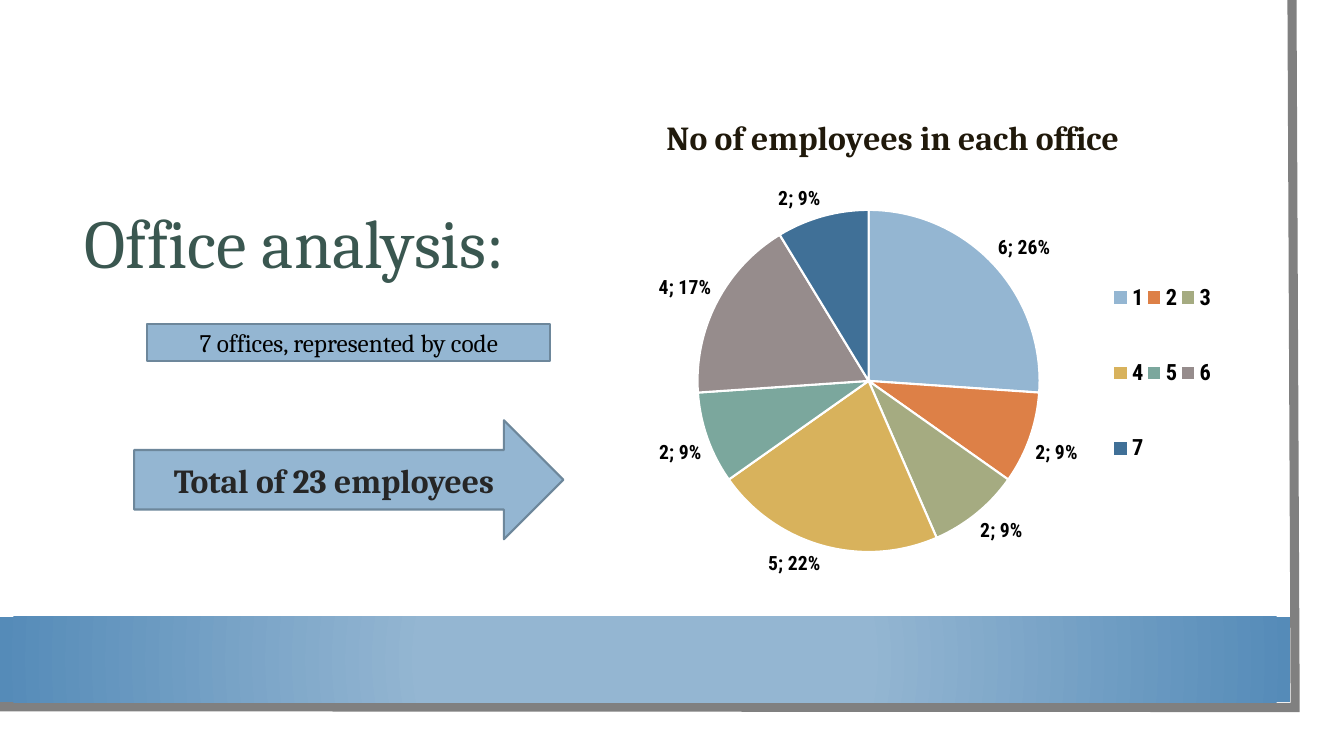
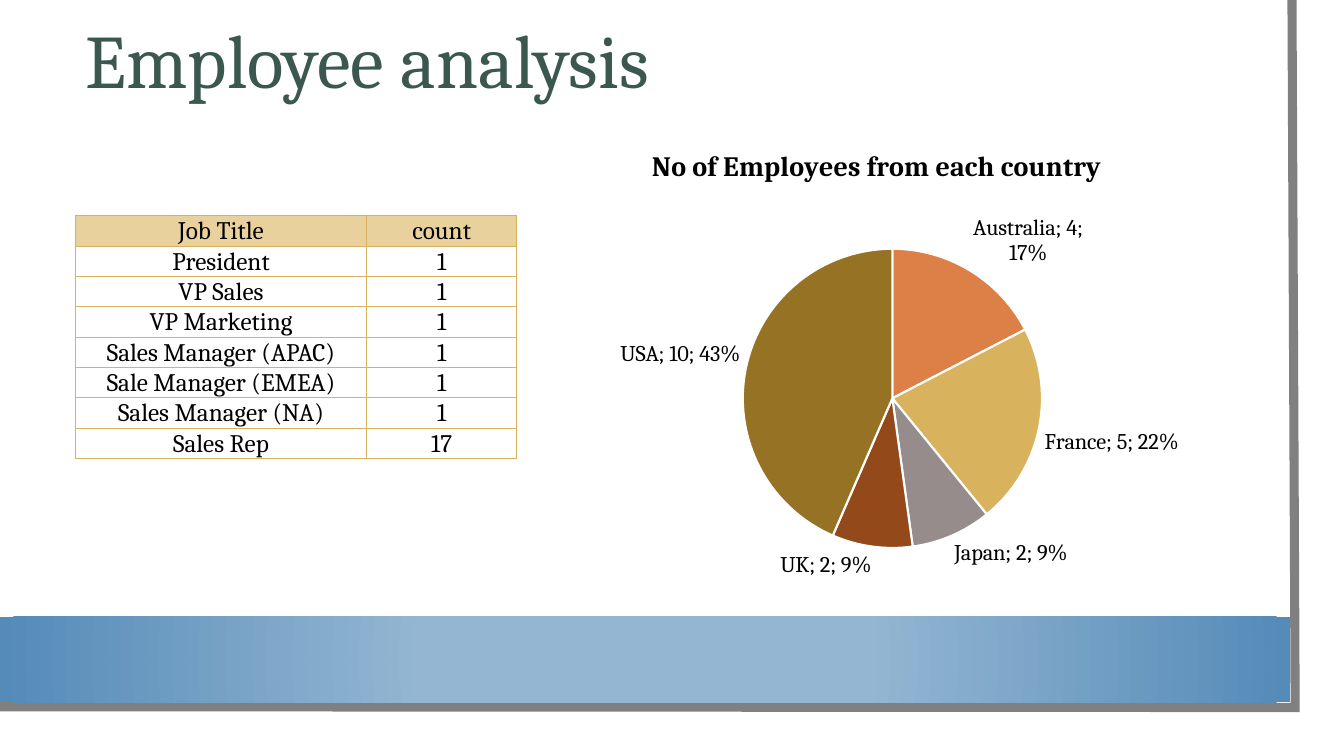
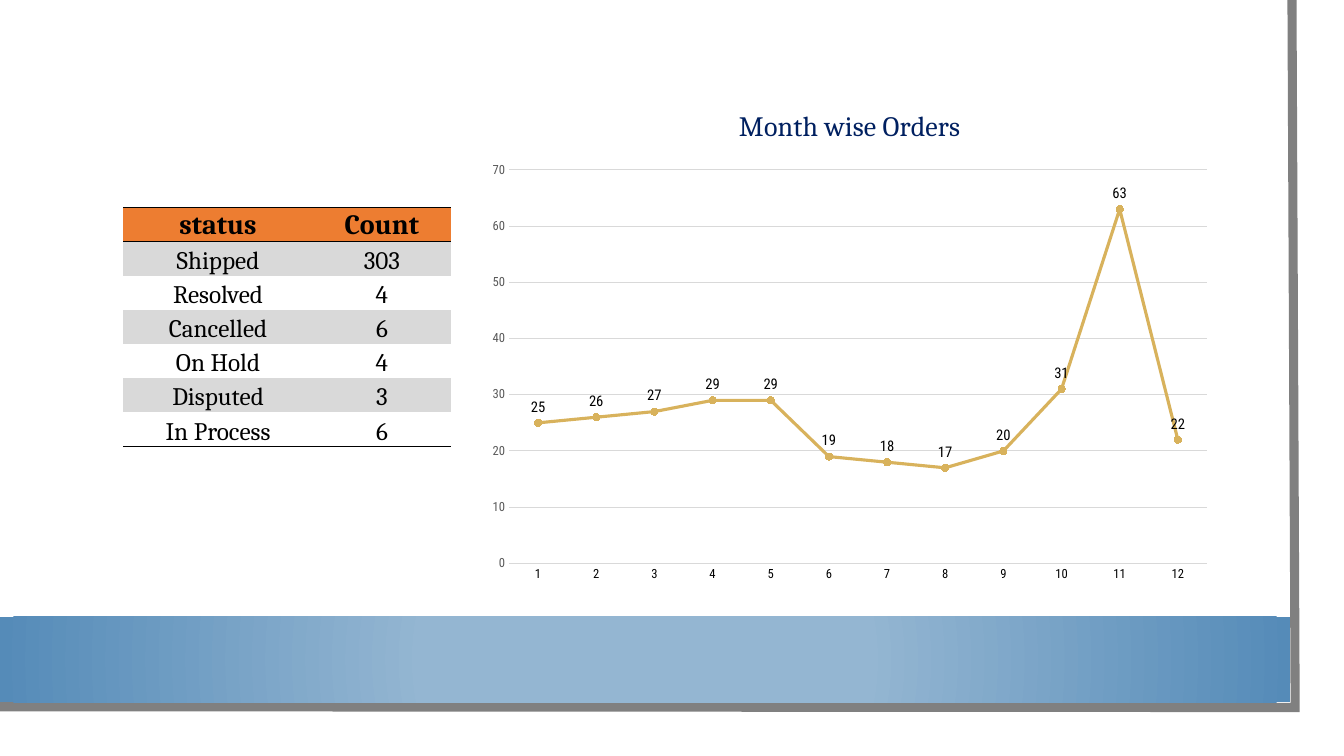
import pptx
import pptx.chart.data
import pptx.dml.color
import pptx.enum.chart
import pptx.enum.dml
import pptx.enum.shapes
import pptx.enum.text
import pptx.oxml
import pptx.oxml.ns
import pptx.util

Cm, Pt = pptx.util.Cm, pptx.util.Pt
RGB = pptx.dml.color.RGBColor
KIND = pptx.enum.chart.XL_CHART_TYPE
SPOT = pptx.enum.chart.XL_LABEL_POSITION
SHAPE = pptx.enum.shapes.MSO_SHAPE
ANCHOR = pptx.enum.text.MSO_ANCHOR
ALIGN = pptx.enum.text.PP_ALIGN

SERIF, SANS = "Cambria", "Roboto Condensed"
WHITE, BLACK = RGB(255, 255, 255), RGB(0, 0, 0)
GREEN = RGB(0x3A, 0x57, 0x50)
BLUE, DEEP, SLATE = RGB(0x94, 0xB6, 0xD2), RGB(0x55, 0x8B, 0xB8), RGB(0x6D, 0x87, 0x9B)
NAVY, STEEL = RGB(0x00, 0x20, 0x60), RGB(0x40, 0x70, 0x97)
ORANGE, BRIGHT, RUST = RGB(0xDD, 0x80, 0x47), RGB(0xED, 0x7D, 0x31), RGB(0x94, 0x49, 0x1B)
GOLD, SAND, BRONZE = RGB(0xD8, 0xB2, 0x5C), RGB(0xE8, 0xD1, 0x9D), RGB(0x95, 0x72, 0x24)
OLIVE, TEAL, TAUPE = RGB(0xA5, 0xAB, 0x81), RGB(0x7B, 0xA7, 0x9D), RGB(0x96, 0x8C, 0x8C)
GREY, SILVER, SMOKE = RGB(0x80, 0x80, 0x80), RGB(0xD9, 0xD9, 0xD9), RGB(0x59, 0x59, 0x59)
INK, UMBER = RGB(0x26, 0x26, 0x26), RGB(0x20, 0x19, 0x0B)

# Boxes are left, top, width, height in centimetres.
CARD = (0, 0, 33.27, 18.47)
BAND = (0, 15.54, 32.51, 2.16)
EDGE = [(32.56, 0), (32.64, 17.83), (-0.08, 17.81)]

OFFICE = {
    "title": dict(text="Office analysis:", box=(1.88, 4.5, 11.89, 6.83), size=49,
                  space=1.2, anchor=ANCHOR.TOP),
    "shapes": [
        dict(kind=SHAPE.RIGHT_ARROW, box=(3.38, 10.59, 10.82, 3),
             text="Total of 23 employees", size=24, color=INK, bold=True),
        dict(kind=SHAPE.MATH_MINUS, box=(1.88, 6.65, 13.82, 3.96),
             text="7 offices, represented by code", size=18, color=BLACK, bold=False),
    ],
    "chart": dict(kind=KIND.PIE, box=(14.2, 2.39, 16.59, 12.55), plot=(17.58, 5.29, 8.62, 8.62),
                  legend=(27.97, 5.92, 2.65, 6.96),
                  title=("No of employees in each office", 24, UMBER, True),
                  names=[str(n) for n in range(1, 8)], values=[6, 2, 2, 5, 2, 4, 2],
                  colors=[BLUE, ORANGE, OLIVE, GOLD, TEAL, TAUPE, STEEL],
                  label=(14, BLACK, True, SANS)),
}
STAFF = {
    "title": dict(text="Employee analysis", box=(1.9, 0, 28.88, 3.23), size=54,
                  space=0.9, anchor=ANCHOR.MIDDLE),
    "table": dict(at=(1.9, 5.44), cols=[7.34, 3.78], row=0.71, head=(18, False),
                  fills=(SAND, None, None), grid=GOLD,
                  rows=[("Job Title", "count"), ("President", "1"), ("VP Sales", "1"),
                        ("VP Marketing", "1"), ("Sales Manager (APAC)", "1"),
                        ("Sale Manager (EMEA)", "1"), ("Sales Manager (NA)", "1"),
                        ("Sales Rep", "17")]),
    "chart": dict(kind=KIND.PIE, box=(13.41, 3.23, 17.37, 11.71), plot=(18.72, 6.27, 7.54, 7.54),
                  title=("No of Employees from each country", 20, BLACK, True),
                  names=["Australia", "France", "Japan", "UK", "USA"], values=[4, 5, 2, 2, 10],
                  colors=[ORANGE, GOLD, TAUPE, RUST, BRONZE],
                  label=(16, BLACK, False, SERIF), named=True),
}
ORDERS = {
    "table": dict(at=(3.1, 5.23), cols=[4.79, 3.47], row=0.86, head=(20, True),
                  fills=(BRIGHT, SILVER, None), grid=None,
                  rows=[("status", "Count"), ("Shipped", "303"), ("Resolved", "4"),
                        ("Cancelled", "6"), ("On Hold", "4"), ("Disputed", "3"),
                        ("In Process", "6")]),
    "chart": dict(kind=KIND.LINE_MARKERS, box=(12.04, 2.21, 18.75, 12.73),
                  plot=(12.83, 4.28, 17.59, 9.92),
                  title=("Month wise Orders", 20, NAVY, False),
                  names=[str(n) for n in range(1, 13)],
                  values=[25, 26, 27, 29, 29, 19, 18, 17, 20, 31, 63, 22],
                  colors=[GOLD], label=(10.5, BLACK, False, SANS)),
}


def cms(*nums):
    return [Cm(n) for n in nums]


def xml(text):
    return pptx.oxml.parse_xml(text.replace(">", " " + pptx.oxml.ns.nsdecls("a", "c") + ">", 1))


def style(font, size, color, bold=False, face=SERIF):
    font.size, font.bold, font.name = Pt(size), bold, face
    font.color.rgb = color


def write(para, text, *look):
    run = para.add_run()
    run.text = text
    style(run.font, *look)


def paint(shape, fill, line=None, width=1.5):
    shape.shadow.inherit = False
    if fill is None:
        shape.fill.background()
    else:
        shape.fill.solid()
        shape.fill.fore_color.rgb = fill
    if line is None:
        shape.line.fill.background()
    else:
        shape.line.color.rgb = line
        shape.line.width = Pt(width)


def frame(deck, slide):
    """Draw the card, its edge and the band, then move them to the master."""
    shapes = slide.shapes
    card = shapes.add_shape(SHAPE.RECTANGLE, *cms(*CARD))
    paint(card, WHITE)
    first, *rest = [cms(*point) for point in EDGE]
    path = shapes.build_freeform(*first)
    path.add_line_segments(rest, close=False)
    edge = path.convert_to_shape()
    paint(edge, None, GREY, 6.5)
    edge.element.xpath("./p:spPr/a:ln")[0].append(xml('<a:miter lim="800000"/>'.replace("/>", "></a:miter>")))
    band = shapes.add_shape(SHAPE.RECTANGLE, *cms(*BAND))
    paint(band, BLUE)
    stops = "".join(f'<a:gs pos="{pos}"><a:srgbClr val="{color}"/></a:gs>'
                    for pos, color in [(34000, BLUE), (100000, DEEP)])
    flat = band.element.xpath("./p:spPr/a:solidFill")[0]
    flat.addnext(xml(f'<a:gradFill><a:gsLst>{stops}</a:gsLst><a:path path="circle">'
                     '<a:fillToRect l="50000" t="50000" r="50000" b="50000"/>'
                     '</a:path></a:gradFill>'))
    flat.getparent().remove(flat)
    tree = deck.slide_master.element.cSld.spTree
    for spot, shape in enumerate([card, edge, band], 2):
        tree.insert(spot, shape.element)


def add_title(slide, text, box, size, space, anchor):
    shape = slide.shapes.title
    shape.left, shape.top, shape.width, shape.height = cms(*box)
    body = shape.text_frame
    body.vertical_anchor = anchor
    body.auto_size = pptx.enum.text.MSO_AUTO_SIZE.NONE
    para = body.paragraphs[0]
    para.alignment, para.line_spacing = ALIGN.LEFT, space
    write(para, text, size, GREEN)


def add_label(slide, kind, box, text, size, color, bold):
    shape = slide.shapes.add_shape(kind, *cms(*box))
    paint(shape, BLUE, SLATE)
    body = shape.text_frame
    body.vertical_anchor = ANCHOR.MIDDLE
    para = body.paragraphs[0]
    para.alignment = ALIGN.CENTER
    write(para, text, size, color, bold)


def rule(cell, colors):
    """Set the left, right, top and bottom borders of a cell."""
    props = cell.get_or_add_tcPr()
    for spot, (side, color) in enumerate(zip("LRTB", colors)):
        fill = (f'<a:solidFill><a:srgbClr val="{color}"/></a:solidFill>'
                if color is not None else "<a:noFill/>")
        props.insert(spot, xml(f'<a:ln{side} w="12700">{fill}</a:ln{side}>'))


def add_grid(slide, at, cols, row, head, fills, grid, rows):
    holder = slide.shapes.add_table(len(rows), len(cols), *cms(*at, sum(cols), row * len(rows)))
    table = holder.table
    table.first_row = table.horz_banding = False
    for col, width in zip(table.columns, cols):
        col.width = Cm(width)
    top, odd, even = fills
    last = len(rows) - 1
    for r, texts in enumerate(rows):
        table.rows[r].height = Cm(row)
        fill = top if r == 0 else odd if r % 2 else even
        size, bold = head if r == 0 else (18, False)
        if grid is not None:
            lines = [grid] * 4
        else:
            lines = [None, None, BLACK if r < 2 else None, BLACK if r in (0, last) else None]
        for c, text in enumerate(texts):
            cell = table.cell(r, c)
            cell.margin_left = cell.margin_right = cell.margin_top = Cm(0.03)
            cell.margin_bottom = 0
            cell.vertical_anchor = ANCHOR.BOTTOM
            if fill is None:
                cell.fill.background()
            else:
                cell.fill.solid()
                cell.fill.fore_color.rgb = fill
            para = cell.text_frame.paragraphs[0]
            para.alignment = ALIGN.CENTER
            write(para, text, size, BLACK, bold)
            rule(holder.element.xpath(".//a:tc")[r * len(cols) + c], lines)


def layout(box, part, inner=""):
    """Give the manual layout that puts a chart part at a place on the slide."""
    x, y, w, h = box
    left, top, wide, high = part
    shares = dict(x=(left - x) / w, y=(top - y) / h, w=wide / w, h=high / h)
    marks = "".join(f'<c:{side}Mode val="edge"/>' for side in "xy")
    marks += "".join(f'<c:{key} val="{share:.4f}"/>' for key, share in shares.items())
    return xml(f"<c:layout><c:manualLayout>{inner}{marks}</c:manualLayout></c:layout>")


def draw_pie(series, colors):
    for spot, color in enumerate(colors):
        look = series.points[spot].format
        look.fill.solid()
        look.fill.fore_color.rgb = color
        look.line.color.rgb = WHITE
        look.line.width = Pt(1.5)


def draw_line(chart, series, color):
    series.smooth = False
    series.format.line.color.rgb = color
    series.format.line.width = Pt(2.25)
    mark = series.marker
    mark.style, mark.size = pptx.enum.chart.XL_MARKER_STYLE.CIRCLE, 5
    mark.format.fill.solid()
    mark.format.fill.fore_color.rgb = color
    mark.format.line.color.rgb = color
    for axis, ink in [(chart.category_axis, BLACK), (chart.value_axis, SMOKE)]:
        axis.major_tick_mark = axis.minor_tick_mark = pptx.enum.chart.XL_TICK_MARK.NONE
        style(axis.tick_labels.font, 9, ink, False, SANS)
    rows = chart.value_axis
    rows.format.line.fill.background()
    rows.has_major_gridlines = True
    for line in (rows.major_gridlines.format.line, chart.category_axis.format.line):
        line.color.rgb = SILVER
        line.width = Pt(0.75)


def add_plot(slide, kind, box, plot, title, names, values, colors, label,
             legend=None, named=False):
    data = pptx.chart.data.CategoryChartData()
    data.categories = names
    data.add_series("Series 1", values)
    chart = slide.shapes.add_chart(kind, *cms(*box), data).chart
    style(chart.font, 10, BLACK, False, SANS)
    chart.has_title = True
    write(chart.chart_title.text_frame.paragraphs[0], *title)
    chart.has_legend = legend is not None
    if legend:
        chart.legend.position = pptx.enum.chart.XL_LEGEND_POSITION.RIGHT
        chart.legend.include_in_layout = False
        style(chart.legend.font, 16, BLACK, True, SANS)
        for old in chart.element.xpath(".//c:legend/c:layout"):
            old.getparent().remove(old)
        chart.element.xpath(".//c:legendPos")[0].addnext(layout(box, legend))
    for old in chart.element.xpath(".//c:plotArea/c:layout"):
        old.getparent().remove(old)
    area = chart.element.xpath(".//c:plotArea")[0]
    area.insert(0, layout(box, plot, '<c:layoutTarget val="inner"/>'))

    pie = kind == KIND.PIE
    group = chart.plots[0]
    group.vary_by_categories = pie
    if pie:
        draw_pie(group.series[0], colors)
    else:
        draw_line(chart, group.series[0], colors[0])
    group.has_data_labels = True
    tags = group.data_labels
    tags.show_value, tags.show_percentage, tags.show_category_name = True, pie, named
    tags.position = SPOT.OUTSIDE_END if pie else SPOT.ABOVE
    style(tags.font, *label)


def main():
    deck = pptx.Presentation()
    deck.slide_width, deck.slide_height = cms(33.87, 19.05)
    for number, page in enumerate([OFFICE, STAFF, ORDERS]):
        slide = deck.slides.add_slide(deck.slide_layouts[5 if "title" in page else 6])
        if number == 0:
            frame(deck, slide)
        if "title" in page:
            add_title(slide, **page["title"])
        if "table" in page:
            add_grid(slide, **page["table"])
        add_plot(slide, **page["chart"])
        for shape in page.get("shapes", []):
            add_label(slide, **shape)
    deck.save("out.pptx")


if __name__ == "__main__":
    main()
